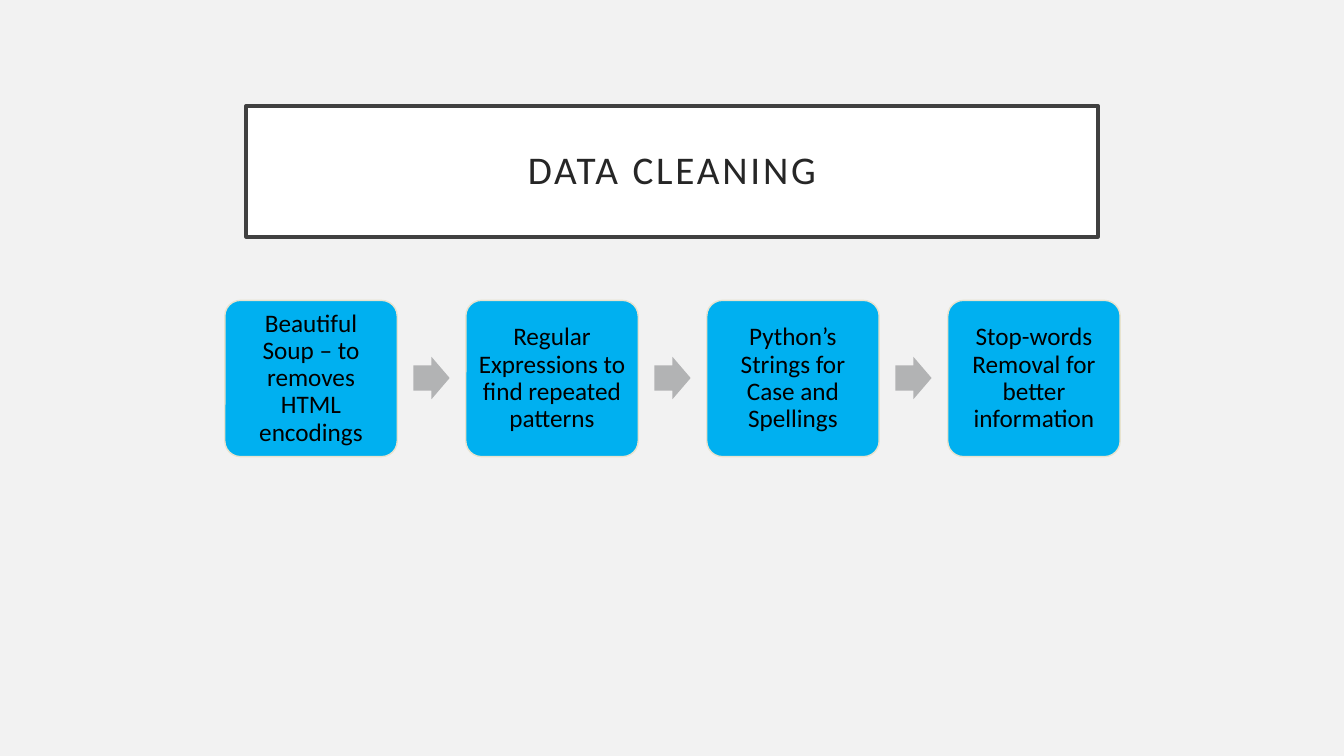
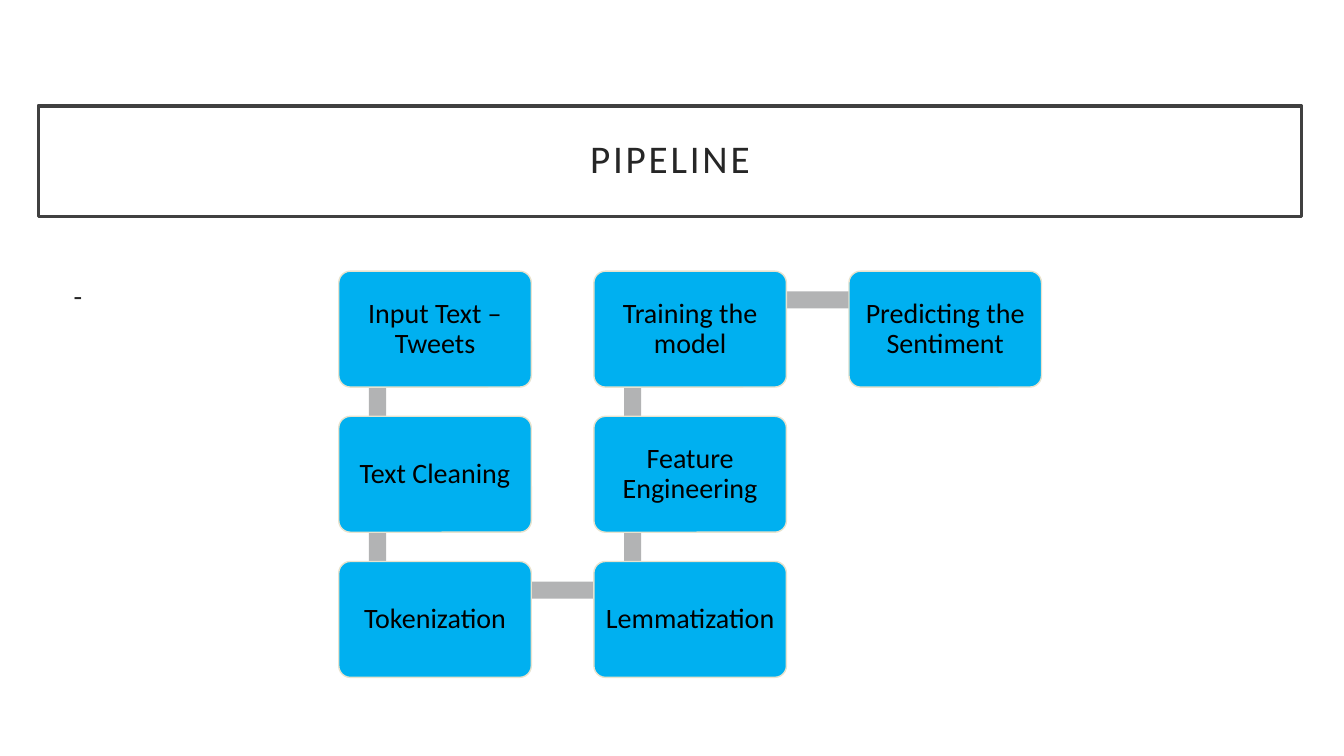
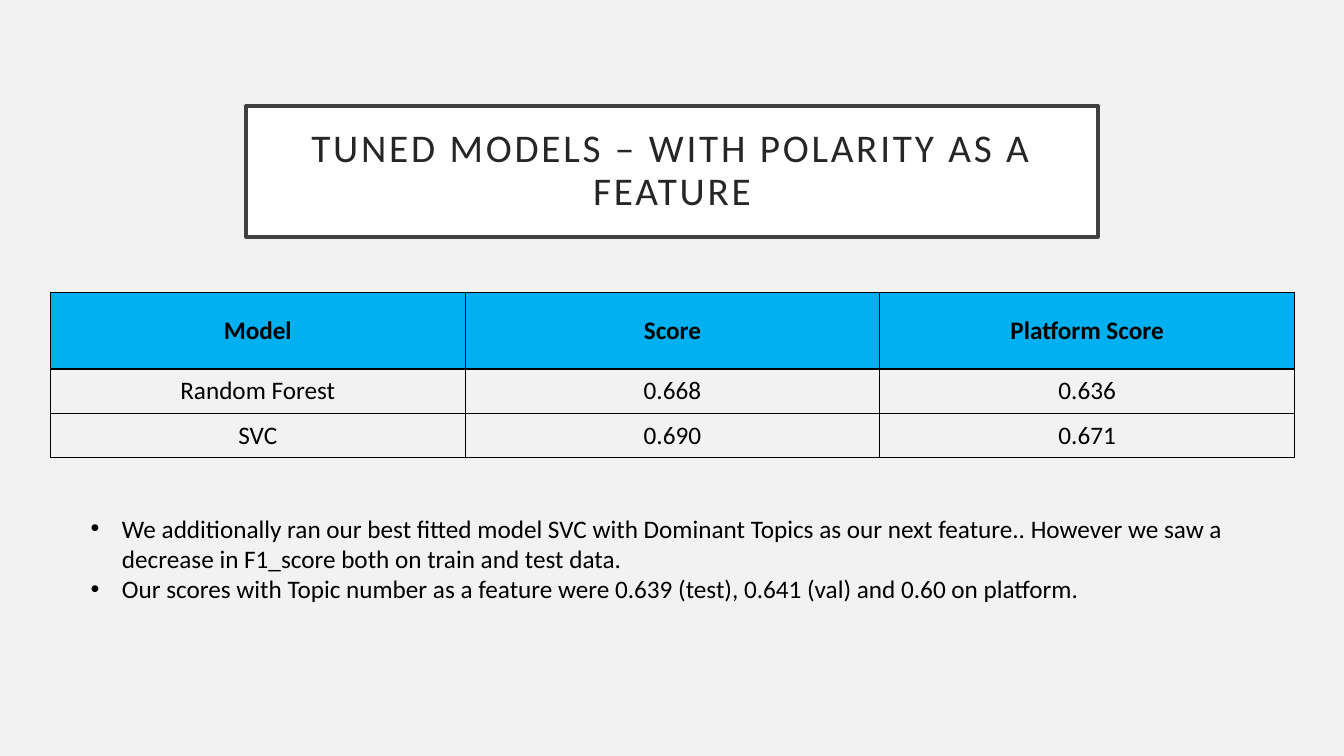
"""Build three slides on text cleaning, the modelling pipeline and tuned scores."""
import dataclasses

import lxml.etree
import pptx
import pptx.dml.color
import pptx.enum.shapes
import pptx.enum.text
import pptx.oxml.ns
import pptx.util

Inches = pptx.util.Inches
Pt = pptx.util.Pt
Shape = pptx.enum.shapes.MSO_SHAPE
Align = pptx.enum.text.PP_ALIGN
Anchor = pptx.enum.text.MSO_ANCHOR


@dataclasses.dataclass(frozen=True)
class Theme:
    font: str = "Calibri"
    ground: str = "F2F2F2"
    white: str = "FFFFFF"
    ink: str = "262626"
    black: str = "000000"
    frame: str = "404040"
    accent: str = "00B0F0"
    edge: str = "E8E3CE"
    link: str = "B2B3B4"
    title_size: int = 28
    large_size: int = 20
    text_size: int = 18


def rgb(value):
    return pptx.dml.color.RGBColor.from_string(value)


def add_node(parent, tag, **attributes):
    return lxml.etree.SubElement(parent, pptx.oxml.ns.qn(tag), **attributes)


def write_text(frame, lines, *, font, size, color, bold=False, align=Align.LEFT,
               line_spacing=1.0, space_before=0, tracking=0, level=0,
               margin=0, indent=0, bullet=None):
    for index, line in enumerate(lines):
        para = frame.paragraphs[0] if index == 0 else frame.add_paragraph()
        para.alignment = align
        para.level = level
        para.line_spacing = line_spacing
        para.space_before = Pt(space_before)
        properties = para._p.get_or_add_pPr()
        properties.set("marL", str(Inches(margin)))
        properties.set("indent", str(Inches(indent)))
        if bullet:
            add_node(properties, "a:buFont", typeface="Arial")
            add_node(properties, "a:buChar", char=bullet)
        else:
            add_node(properties, "a:buNone")
        span = para.add_run()
        span.text = line
        span.font.name = font
        span.font.size = Pt(size)
        span.font.bold = bold
        span.font.color.rgb = rgb(color)
        if tracking:
            span._r.get_or_add_rPr().set("spc", str(tracking * 100))


class SlideBuilder:
    def __init__(self, theme):
        self.theme = theme
        self.deck = pptx.Presentation()
        self.deck.slide_width = Inches(13.33)
        self.deck.slide_height = Inches(7.5)
        self.paint_ground(self.deck.slide_master, theme.ground)
        self.page = None

    def paint_ground(self, target, color):
        target.background.fill.solid()
        target.background.fill.fore_color.rgb = rgb(color)

    def place(self, box, left, top, width, height):
        box.left, box.top = Inches(left), Inches(top)
        box.width, box.height = Inches(width), Inches(height)

    def prepare_frame(self, box, anchor, side, end):
        frame = box.text_frame
        frame.word_wrap = True
        frame.auto_size = pptx.enum.text.MSO_AUTO_SIZE.NONE
        frame.vertical_anchor = anchor
        frame.margin_left = frame.margin_right = Inches(side)
        frame.margin_top = frame.margin_bottom = Inches(end)
        return frame

    def paint(self, box, fill, line=None, weight=1):
        box.fill.solid()
        box.fill.fore_color.rgb = rgb(fill)
        if line:
            box.line.color.rgb = rgb(line)
            box.line.width = Pt(weight)
        else:
            box.line.fill.background()

    def start_page(self, title, area=(2.44, 1.05, 8.45, 1.3), with_body=False):
        layout = self.deck.slide_layouts[1 if with_body else 5]
        self.page = self.deck.slides.add_slide(layout)
        box = self.page.shapes.title
        self.place(box, *area)
        self.paint(box, self.theme.white, self.theme.frame, 2.5)
        frame = self.prepare_frame(box, Anchor.MIDDLE, 0.2, 0.2)
        write_text(frame, [title], font=self.theme.font, size=self.theme.title_size,
                   color=self.theme.ink, align=Align.CENTER, line_spacing=0.9, tracking=2)

    def body(self, lines, area, **text_format):
        box = self.page.placeholders[1]
        self.place(box, *area)
        frame = self.prepare_frame(box, Anchor.TOP, 0.1, 0.05)
        write_text(frame, lines, font=self.theme.font, **text_format)

    def shape(self, kind, area, fill, line=None, adjustments=()):
        box = self.page.shapes.add_shape(kind, *map(Inches, area))
        box.shadow.inherit = False
        self.paint(box, fill, line)
        for index, value in enumerate(adjustments):
            box.adjustments[index] = value
        return box

    def step(self, text, area, size, inset):
        box = self.shape(Shape.ROUNDED_RECTANGLE, area, self.theme.accent,
                         self.theme.edge, (0.1,))
        frame = self.prepare_frame(box, Anchor.MIDDLE, inset, inset)
        write_text(frame, [text], font=self.theme.font, size=size,
                   color=self.theme.black, align=Align.CENTER, line_spacing=0.9)

    def arrow(self, area):
        self.shape(Shape.RIGHT_ARROW, area, self.theme.link, adjustments=(0.6, 0.5))

    def bar(self, area):
        self.shape(Shape.RECTANGLE, area, self.theme.link)

    def cell_borders(self, cell):
        properties = cell._tc.get_or_add_tcPr()
        for side in ("a:lnL", "a:lnR", "a:lnT", "a:lnB"):
            line = add_node(properties, side, w=str(Pt(1)))
            add_node(add_node(line, "a:solidFill"), "a:srgbClr", val=self.theme.black)

    def table(self, rows, area, heights):
        table = self.page.shapes.add_table(len(rows), len(rows[0]), *map(Inches, area)).table
        table.horz_banding = False
        for row_index, (values, height) in enumerate(zip(rows, heights)):
            table.rows[row_index].height = Inches(height)
            is_header = row_index == 0
            for column_index, value in enumerate(values):
                cell = table.cell(row_index, column_index)
                self.cell_borders(cell)
                if is_header:
                    cell.fill.solid()
                    cell.fill.fore_color.rgb = rgb(self.theme.accent)
                else:
                    cell.fill.background()
                cell.vertical_anchor = Anchor.MIDDLE
                write_text(cell.text_frame, [value], font=self.theme.font,
                           size=self.theme.text_size, color=self.theme.black,
                           bold=is_header, align=Align.CENTER)


def build_cleaning(builder):
    builder.start_page("DATA CLEANING")
    steps = [
        "Beautiful Soup – to removes HTML encodings",
        "Regular Expressions to find repeated patterns",
        "Python’s Strings for Case and Spellings",
        "Stop-words Removal for better information",
    ]
    for index, text in enumerate(steps):
        left = 2.23 + 2.39 * index
        builder.step(text, (left, 2.98, 1.71, 1.55), builder.theme.text_size, 0.07)
        if index < len(steps) - 1:
            builder.arrow((left + 1.87, 3.54, 0.36, 0.42))


def build_pipeline(builder):
    builder.start_page("PIPELINE", (0.38, 1.05, 12.53, 1.1), with_body=True)
    builder.paint_ground(builder.page, builder.theme.white)
    builder.body(["-"], (0.38, 2.71, 12.53, 3.96), size=builder.theme.large_size,
                 color=builder.theme.ink, level=1, margin=0.25, space_before=10)
    steps = ["Input Text – Tweets", "Text Cleaning", "Tokenization", "Lemmatization",
             "Feature Engineering", "Training the model", "Predicting the Sentiment"]
    per_column, column_pitch, row_pitch, thickness = 3, 2.53, 1.44, 0.17
    corners = []
    for index in range(len(steps)):
        column, row = divmod(index, per_column)
        if column % 2:
            row = per_column - 1 - row
        corners.append((3.36 + column_pitch * column, 2.69 + row_pitch * row))
    for (left, top), (next_left, next_top) in zip(corners, corners[1:]):
        if left == next_left:
            builder.bar((left + 0.3, min(top, next_top) + 0.29, thickness, row_pitch))
        else:
            builder.bar((left + 0.39, top + 0.2, column_pitch, thickness))
    for text, corner in zip(steps, corners):
        builder.step(text, (*corner, 1.91, 1.15), builder.theme.large_size, 0.08)


def build_scores(builder):
    builder.start_page("TUNED MODELS – WITH POLARITY AS A FEATURE", with_body=True)
    rows = [
        ("Model", "Score", "Platform Score"),
        ("Random Forest", "0.668", "0.636"),
        ("SVC", "0.690", "0.671"),
    ]
    builder.table(rows, (0.5, 2.9, 12.34, 1.64), (0.76, 0.44, 0.44))
    notes = [
        "We additionally ran our best fitted model SVC with Dominant Topics as our next "
        "feature.. However we saw a decrease in F1_score both on train and test data.",
        "Our scores with Topic number as a feature were 0.639 (test), 0.641 (val) "
        "and 0.60 on platform.",
    ]
    builder.body(notes, (0.8, 5.04, 12.34, 1.01), size=builder.theme.text_size,
                 color=builder.theme.black, margin=0.31, indent=-0.31, bullet="•")


def main():
    builder = SlideBuilder(Theme())
    build_cleaning(builder)
    build_pipeline(builder)
    build_scores(builder)
    builder.deck.save("out.pptx")


if __name__ == "__main__":
    main()
